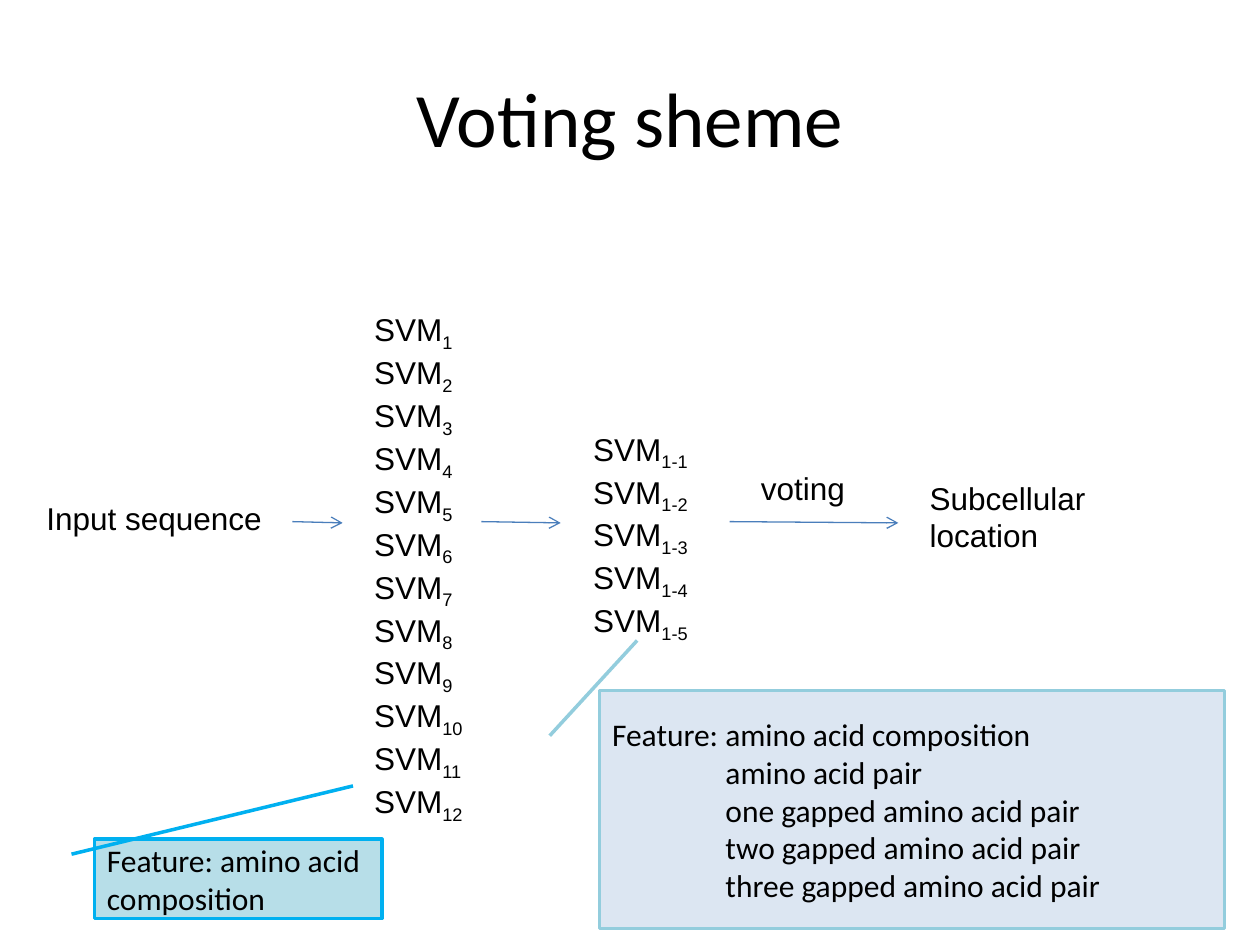
"""Build the voting scheme slide: two SVM layers, voting and feature callouts."""
from dataclasses import dataclass

from lxml import etree
from pptx import Presentation
from pptx.dml.color import RGBColor
from pptx.enum.shapes import MSO_CONNECTOR, MSO_SHAPE
from pptx.enum.text import MSO_ANCHOR, PP_ALIGN
from pptx.oxml.ns import qn
from pptx.util import Inches, Pt

STRAIGHT = MSO_CONNECTOR.STRAIGHT
CALLOUT = MSO_SHAPE.LINE_CALLOUT_1
MIDDLE = MSO_ANCHOR.MIDDLE
LEFT, CENTER = PP_ALIGN.LEFT, PP_ALIGN.CENTER


@dataclass(frozen=True)
class Theme:
    text: str = "000000"
    arrow: str = "4A7EBB"
    first_fill: str = "B7DEE8"
    first_line: str = "00B0F0"
    second_fill: str = "DCE6F2"
    second_line: str = "93CDDD"
    label_font: str = "Arial"
    feature_font: str = "Calibri"
    title_size: int = 44
    body_size: int = 18


theme = Theme()


def add_run(p, text, font, size, subscript=False):
    r = p.add_run()
    r.text = text
    r.font.name = font
    r.font.size = Pt(size)
    r.font.color.rgb = RGBColor.from_string(theme.text)
    if subscript:
        r._r.get_or_add_rPr().set("baseline", "-25000")


prs = Presentation()
prs.slide_width, prs.slide_height = Inches(10), Inches(7.5)
s = prs.slides.add_slide(prs.slide_layouts[5])

title = s.shapes.title
title.left, title.top = Inches(0.5), Inches(0.3)
title.width, title.height = Inches(9), Inches(1.25)
title.text_frame.vertical_anchor = MIDDLE
p = title.text_frame.paragraphs[0]
p.alignment = CENTER
add_run(p, "Voting sheme", theme.feature_font, theme.title_size)

first_layer = [("SVM", f"{i}") for i in range(1, 13)]
second_layer = [("SVM", f"1-{i}") for i in range(1, 6)]
labels = [
    (0.27, 3.91, 1.97, 0.4, [("Input sequence", "")]),
    (2.87, 2.41, 1.02, 4.19, first_layer),
    (4.61, 3.36, 1.1, 1.81, second_layer),
    (5.94, 3.67, 1.02, 0.4, [("voting", "")]),
    (7.28, 3.75, 1.73, 0.7, [("Subcellular location", "")]),
]
for x, y, w, h, lines in labels:
    sp = s.shapes.add_textbox(Inches(x), Inches(y), Inches(w), Inches(h))
    tf = sp.text_frame
    tf.word_wrap = True
    for i, (text, index) in enumerate(lines):
        p = tf.add_paragraph() if i else tf.paragraphs[0]
        add_run(p, text, theme.label_font, theme.body_size)
        if index:
            add_run(p, index, theme.label_font, theme.body_size, subscript=True)

for x1, x2 in [(2.32, 2.72), (3.82, 4.45), (5.79, 7.13)]:
    arrow = s.shapes.add_connector(
        STRAIGHT, Inches(x1), Inches(4.14), Inches(x2), Inches(4.15))
    arrow.line.color.rgb = RGBColor.from_string(theme.arrow)
    arrow.line.width = Pt(0.75)
    etree.SubElement(arrow.line._get_or_add_ln(), qn("a:tailEnd"), type="arrow")
    etree.SubElement(arrow._element.spPr, qn("a:effectLst"))

features = [
    "Feature: amino acid composition",
    "amino acid pair",
    "one gapped amino acid pair",
    "two gapped amino acid pair",
    "three gapped amino acid pair",
]
callouts = [
    (0.75, 6.66, 2.28, 0.63, (0.19, -0.08, -0.67, 0.9),
     theme.first_fill, theme.first_line, features[:1]),
    (4.76, 5.48, 4.96, 1.89, (0.19, -0.08, -0.21, 0.06),
     theme.second_fill, theme.second_line, features),
]
for x, y, w, h, pointer, fill, line, lines in callouts:
    sp = s.shapes.add_shape(CALLOUT, Inches(x), Inches(y), Inches(w), Inches(h))
    sp.shadow.inherit = False
    for i, value in enumerate(pointer):
        sp.adjustments[i] = value
    sp.fill.solid()
    sp.fill.fore_color.rgb = RGBColor.from_string(fill)
    sp.line.color.rgb = RGBColor.from_string(line)
    sp.line.width = Pt(2)
    tf = sp.text_frame
    tf.word_wrap = True
    tf.vertical_anchor = MIDDLE
    for i, text in enumerate(lines):
        p = tf.add_paragraph() if i else tf.paragraphs[0]
        p.alignment = LEFT
        if i:
            p._p.get_or_add_pPr().set("marL", str(Inches(0.9)))
        add_run(p, text, theme.feature_font, theme.body_size)

prs.save("out.pptx")
